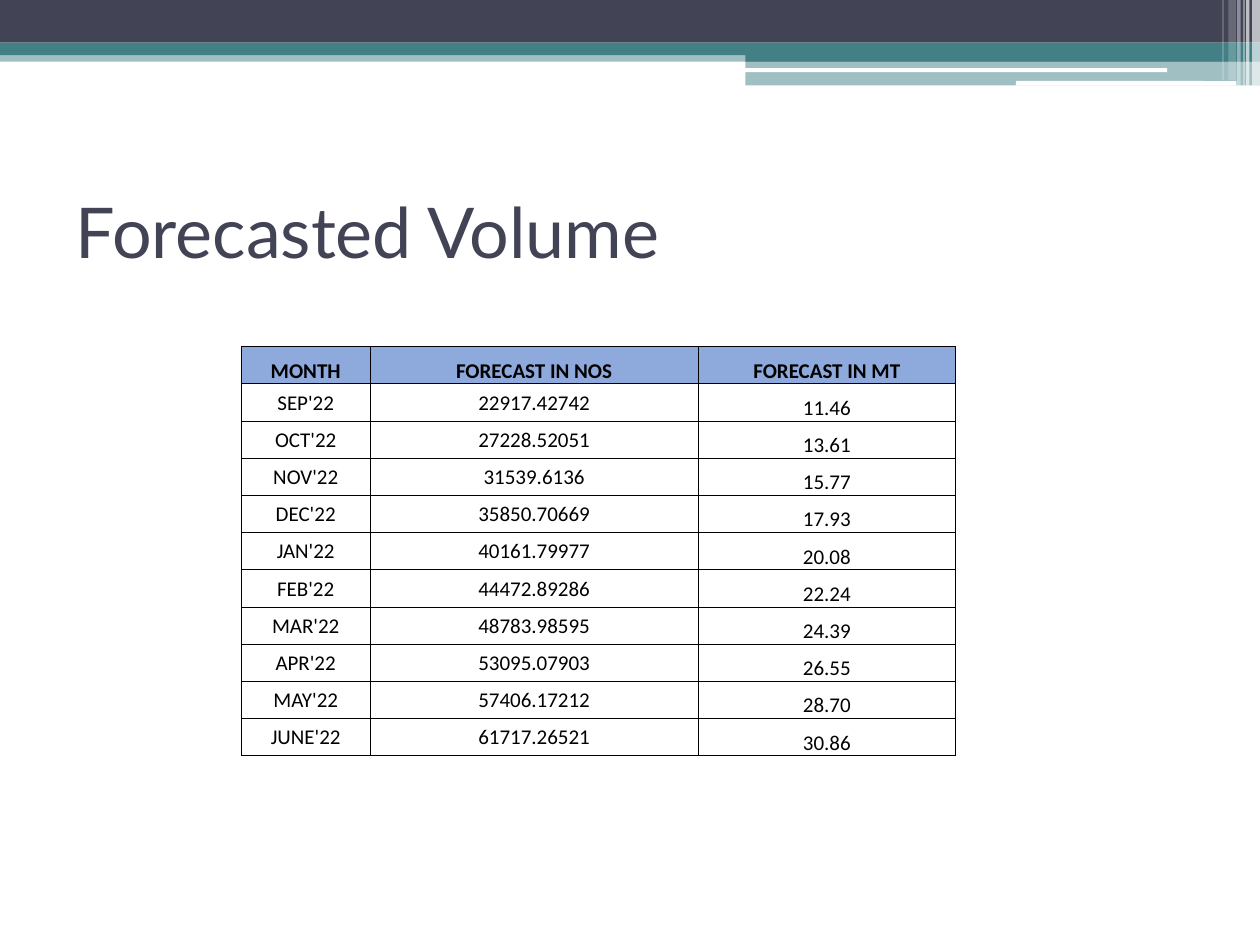
from lxml import etree
from pptx import Presentation
from pptx.dml.color import RGBColor
from pptx.enum import shapes as es, text as et
from pptx.oxml import ns
from pptx.util import Pt

NAVY = RGBColor(0x42, 0x44, 0x56)
TEAL = RGBColor(0x43, 0x80, 0x86)
WHITE = RGBColor(0xFF, 0xFF, 0xFF)
BLACK = RGBColor(0, 0, 0)
BLUE = RGBColor(0x8E, 0xA9, 0xDB)

RECT = es.MSO_SHAPE.RECTANGLE
ROUND = es.MSO_SHAPE.ROUNDED_RECTANGLE
MID = et.MSO_ANCHOR.MIDDLE
LOW = et.MSO_ANCHOR.BOTTOM

BARS = [
    (RECT, 0, 28.8, 720, 6.5, TEAL, 50),
    (RECT, 0, 0, 720, 24.4, NAVY, 100),
    (RECT, 0, 24.4, 720, 7.2, TEAL, 100),
    (RECT, 426, 28, 294, 7.2, TEAL, 100),
    (RECT, 426, 34.8, 294, 14, TEAL, 50),
    (ROUND, 425.5, 39, 241.5, 2.2, WHITE, 100),
    (ROUND, 580.5, 46.3, 126, 2.7, WHITE, 100),
]
STRIPES = [
    (715.5, 4.5, 49, 65),
    (712, 2, 49, 65),
    (710.5, 0.7, 49, 60),
    (707, 2, 49, 40),
    (702, 4.3, 46, 20),
    (698.5, 0.7, 46, 30),
]

HEAD = ["MONTH", "FORECAST IN NOS", "FORECAST IN MT"]
ROWS = [
    ("SEP'22", "22917.42742", "11.46"),
    ("OCT'22", "27228.52051", "13.61"),
    ("NOV'22", "31539.6136", "15.77"),
    ("DEC'22", "35850.70669", "17.93"),
    ("JAN'22", "40161.79977", "20.08"),
    ("FEB'22", "44472.89286", "22.24"),
    ("MAR'22", "48783.98595", "24.39"),
    ("APR'22", "53095.07903", "26.55"),
    ("MAY'22", "57406.17212", "28.70"),
    ("JUNE'22", "61717.26521", "30.86"),
]
SHARES = [0.18, 0.46, 0.36]


def write(frame, words, font="Calibri", size=12, color=BLACK, bold=False,
          align=et.PP_ALIGN.CENTER):
    para = frame.paragraphs[0]
    para.alignment = align
    run = para.add_run()
    run.text = words
    run.font.name = font
    run.font.size = Pt(size)
    run.font.bold = bold
    run.font.color.rgb = color


def add_bar(slide, kind, x, y, w, h, color, alpha):
    bar = slide.shapes.add_shape(kind, Pt(x), Pt(y), Pt(w), Pt(h))
    bar.shadow.inherit = False
    bar.line.fill.background()
    bar.fill.solid()
    bar.fill.fore_color.rgb = color
    if alpha < 100:
        tint = bar.fill._xPr.find(".//" + ns.qn("a:srgbClr"))
        etree.SubElement(tint, ns.qn("a:alpha"), val=str(alpha * 1000))


def add_banner(slide, left, top):
    for kind, x, y, w, h, color, alpha in BARS:
        add_bar(slide, kind, left + x, top + y, w, h, color, alpha)
    for x, w, h, alpha in STRIPES:
        add_bar(slide, RECT, left + x, top, w, h, WHITE, alpha)


def add_title(slide, words, x, y, w, h):
    title = slide.shapes.title
    title.left, title.top, title.width, title.height = map(Pt, (x, y, w, h))
    title.text_frame.vertical_anchor = MID
    write(title.text_frame, words, font="Lato", size=40, color=NAVY,
          align=et.PP_ALIGN.LEFT)


def add_edges(cell):
    props = cell._tc.get_or_add_tcPr()
    for spot, side in enumerate(("lnL", "lnR", "lnT", "lnB")):
        line = etree.Element(ns.qn("a:" + side), w=str(Pt(0.5)))
        fill = etree.SubElement(line, ns.qn("a:solidFill"))
        etree.SubElement(fill, ns.qn("a:srgbClr"), val=str(BLACK))
        props.insert(spot, line)


def fill_cell(cell, words, head, anchor):
    cell.margin_left = cell.margin_right = cell.margin_top = Pt(0.7)
    cell.margin_bottom = 0
    cell.vertical_anchor = anchor
    if head:
        cell.fill.solid()
        cell.fill.fore_color.rgb = BLUE
    else:
        cell.fill.background()
    write(cell.text_frame, words, bold=head)
    add_edges(cell)


def add_grid(slide, x, y, w, h):
    data = [HEAD, *ROWS]
    frame = slide.shapes.add_table(len(data), len(HEAD), Pt(x), Pt(y), Pt(w), Pt(h))
    table = frame.table
    table.horz_banding = False
    for col, share in zip(table.columns, SHARES):
        col.width = Pt(w * share)
    for r, row in enumerate(data):
        table.rows[r].height = Pt(h / len(data))
        for c, words in enumerate(row):
            head = r == 0
            anchor = LOW if head or c == len(HEAD) - 1 else MID
            fill_cell(table.cell(r, c), words, head, anchor)


def main():
    deck = Presentation()
    deck.slide_width, deck.slide_height = Pt(720), Pt(540)
    slide = deck.slides.add_slide(deck.slide_layouts[5])
    add_banner(slide, 0, 0)
    add_title(slide, "Forecasted Volume", 36, 90, 648, 84)
    add_grid(slide, 138, 198, 408, 234)
    deck.save("out.pptx")


if __name__ == "__main__":
    main()
